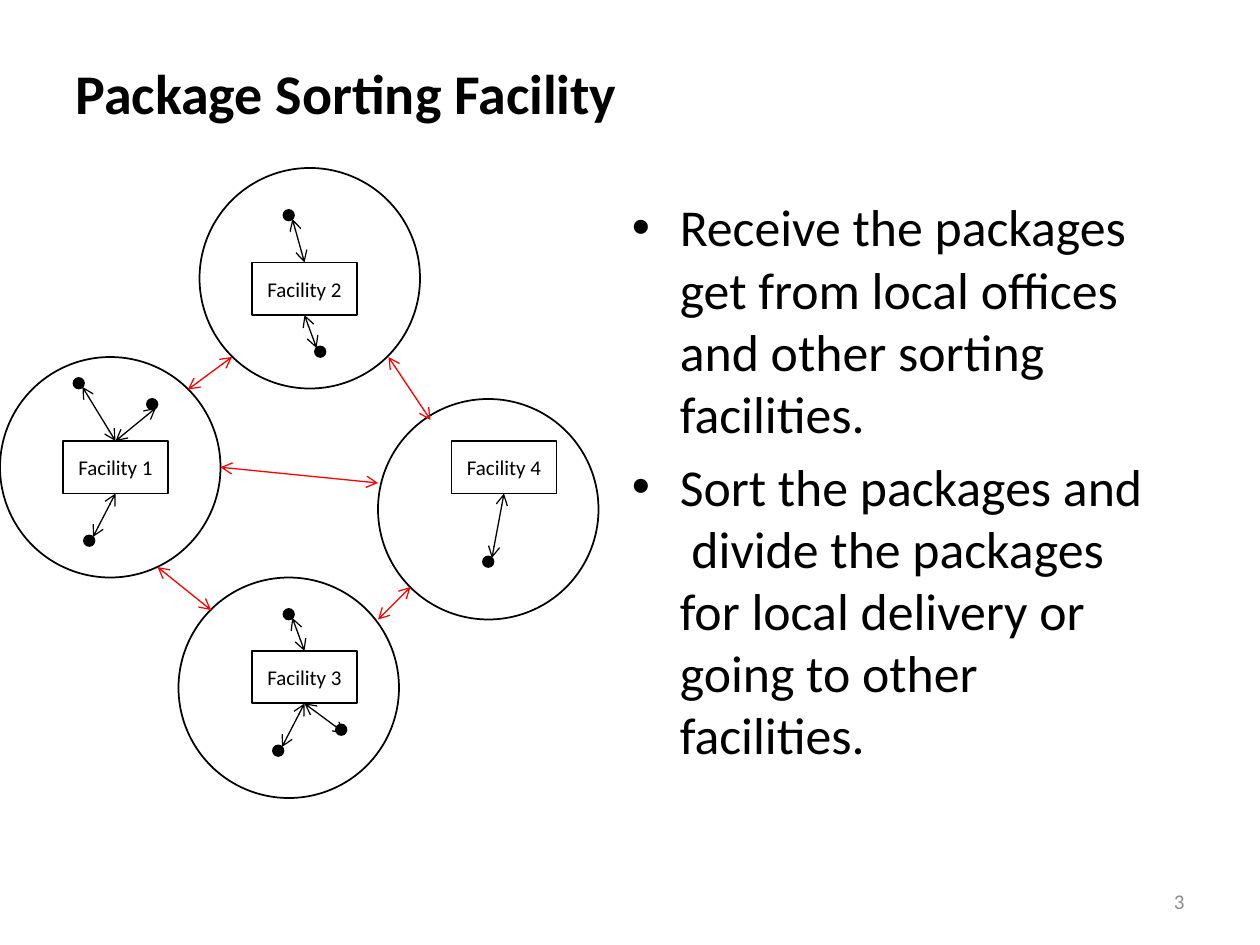
from lxml.etree import SubElement as Sub
from pptx import Presentation
from pptx.dml.color import RGBColor as RGB
from pptx.enum.shapes import MSO_CONNECTOR as Conn, MSO_SHAPE as Shape
from pptx.enum.text import MSO_ANCHOR as Anchor, PP_ALIGN as Align
from pptx.oxml.ns import qn
from pptx.util import Inches, Pt

COLORS = {"ink": "000000", "route": "FF0000", "muted": "8C8C8C"}
WIDTH, HEIGHT = Inches(10), Inches(7.5)
COLS, ROWS = 120, 90
RING, BOX, DOT = (21, 21), (10, 5), (1, 1)
NEAR, FAR = 0.15, 0.85

# name, ring, box, dots with the point where the arrow touches each dot
SITES = [
    ("Facility 1", (0, 34), (6, 42),
     [(7, 36, FAR, FAR), (8, 51, FAR, NEAR), (14, 38, FAR, FAR)]),
    ("Facility 2", (19, 16), (24, 25),
     [(27, 20, FAR, FAR), (30, 33, NEAR, NEAR)]),
    ("Facility 3", (17, 55), (24, 62),
     [(27, 58, FAR, FAR), (26, 71, FAR, NEAR), (32, 69, FAR, FAR)]),
    ("Facility 4", (36, 38), (43, 42), [(46, 53, FAR, NEAR)]),
]
ROUTES = [
    ((22.1, 34), (17.9, 37.1)),
    ((15, 54), (20.1, 58.1)),
    ((21, 44.5), (36, 46)),
    ((39.1, 55.9), (36, 59)),
    ((37, 34), (41, 40)),
]
POINTS = [
    "Receive the packages get from local offices and other sorting facilities.",
    "Sort the packages and  divide the packages for local delivery or going to other facilities.",
]


def grid(col, row):
    """Turn a column and a row into slide lengths."""
    return round(WIDTH * col / COLS), round(HEIGHT * row / ROWS)


def style(para, size, color="ink", bold=False, align=Align.LEFT):
    """Format a paragraph and its runs."""
    para.alignment = align
    for run in para.runs:
        run.font.name = "Calibri"
        run.font.size = Pt(size)
        run.font.bold = bold
        run.font.color.rgb = RGB.from_string(COLORS[color])


def add_text(slide, spot, size, text, anchor=Anchor.MIDDLE):
    """Add a wrapped text box and return its frame."""
    frame = slide.shapes.add_textbox(*grid(*spot), *grid(*size)).text_frame
    frame.word_wrap = True
    frame.vertical_anchor = anchor
    frame.text = text
    return frame


def add_form(slide, kind, spot, size, solid=False):
    """Add an outlined shape, filled with ink if solid."""
    form = slide.shapes.add_shape(kind, *grid(*spot), *grid(*size))
    form.shadow.inherit = False
    ink = RGB.from_string(COLORS["ink"])
    if solid:
        form.fill.solid()
        form.fill.fore_color.rgb = ink
    else:
        form.fill.background()
    form.line.color.rgb = ink
    form.line.width = Pt(1)
    return form


def add_arrow(slide, start, end, color):
    """Add a thin line with open arrowheads at both ends."""
    arrow = slide.shapes.add_connector(Conn.STRAIGHT, *grid(*start), *grid(*end))
    arrow.line.width = Pt(0.75)
    arrow.line.color.rgb = RGB.from_string(COLORS[color])
    props = arrow._element.spPr
    for tag in ("a:headEnd", "a:tailEnd"):
        Sub(props.find(qn("a:ln")), qn(tag), type="arrow")
    Sub(props, qn("a:effectLst"))
    return arrow


def add_site(slide, name, ring, spot, dots):
    """Add a facility with its ring, its local offices and their links."""
    add_form(slide, Shape.OVAL, ring, RING)
    box = add_form(slide, Shape.RECTANGLE, spot, BOX)
    frame = box.text_frame
    frame.margin_left = frame.margin_right = 0
    frame.vertical_anchor = Anchor.MIDDLE
    frame.text = name
    style(frame.paragraphs[0], 12, align=Align.CENTER)
    for col, row, right, down in dots:
        add_form(slide, Shape.OVAL, (col, row), DOT, solid=True)
        link = add_arrow(slide, (col + right, row + down), spot, "ink")
        link.end_connect(box, 0 if row < spot[1] else 2)


def add_list(slide):
    """Add the bulleted list."""
    frame = add_text(slide, (59, 18), (52, 58), "\n".join(POINTS), Anchor.TOP)
    for para in frame.paragraphs:
        style(para, 29.6)
        para.space_before = Pt(6)
        props = para._p.get_or_add_pPr()
        props.set("marL", str(Inches(0.38)))
        props.set("indent", str(-Inches(0.38)))
        Sub(props, qn("a:buFont"), typeface="Arial")
        Sub(props, qn("a:buChar"), char="•")


def main():
    """Build the slide and save it."""
    deck = Presentation()
    deck.slide_width, deck.slide_height = WIDTH, HEIGHT
    slide = deck.slides.add_slide(deck.slide_layouts[6])
    add_list(slide)
    title = add_text(slide, (6, 3.6), (108, 10.4), "Package Sorting Facility")
    style(title.paragraphs[0], 32, bold=True)
    for site in SITES:
        add_site(slide, *site)
    for start, end in ROUTES:
        add_arrow(slide, start, end, "route")
    page = add_text(slide, (86, 83.4), (28, 4.8), "3")
    style(page.paragraphs[0], 12, "muted", align=Align.RIGHT)
    deck.save("out.pptx")


if __name__ == "__main__":
    main()
